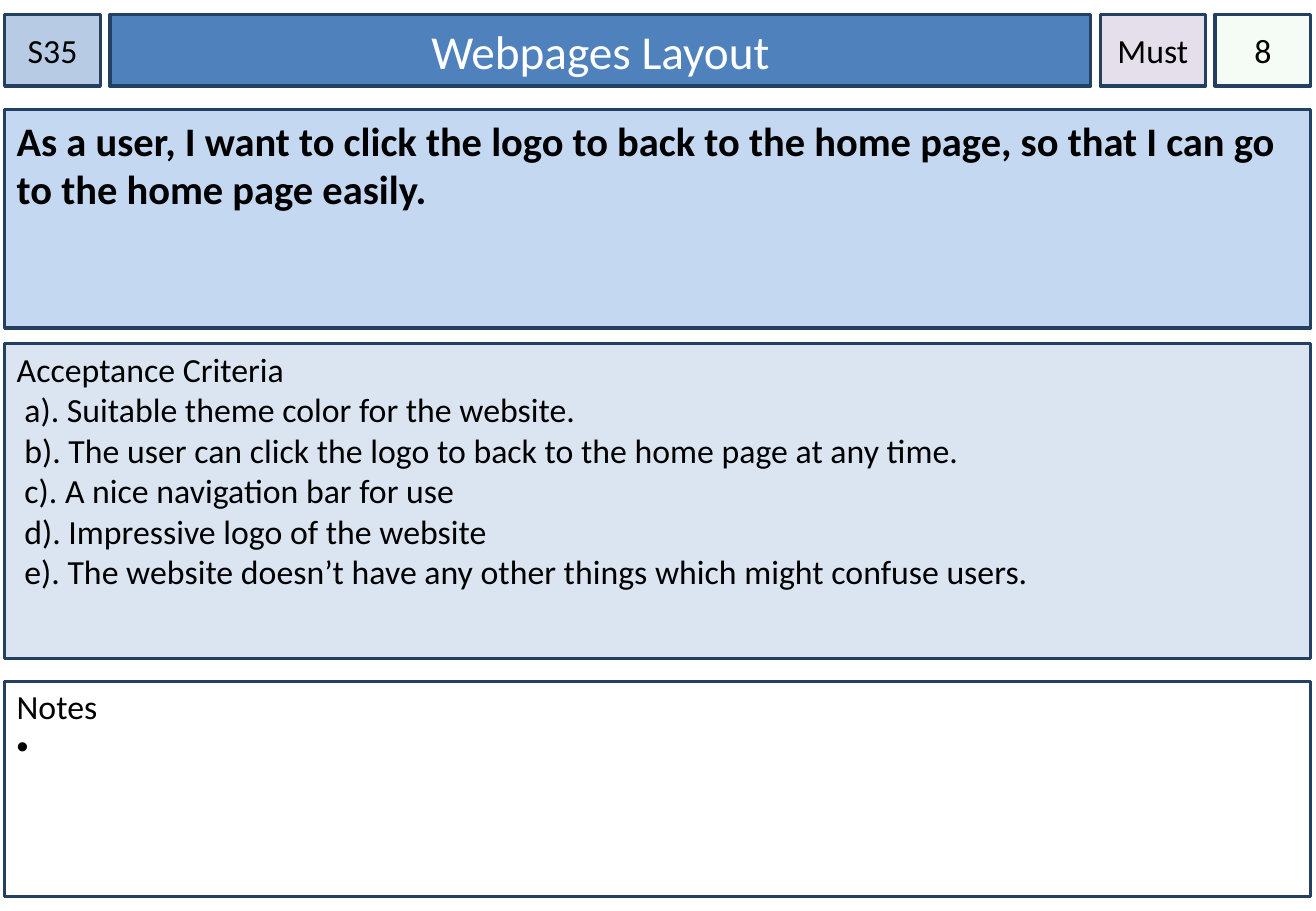
import lxml.etree
import pptx
import pptx.dml.color
import pptx.enum.shapes
import pptx.enum.text
import pptx.oxml.ns
import pptx.util

Cm = pptx.util.Cm
RGBColor = pptx.dml.color.RGBColor
PP_ALIGN = pptx.enum.text.PP_ALIGN
MSO_ANCHOR = pptx.enum.text.MSO_ANCHOR

BLACK = RGBColor(0x00, 0x00, 0x00)
WHITE = RGBColor(0xFF, 0xFF, 0xFF)
NAVY = RGBColor(0x24, 0x40, 0x61)
TITLE_BLUE = RGBColor(0x4F, 0x81, 0xBD)
BADGE_BLUE = RGBColor(0xB7, 0xCC, 0xE4)
STORY_BLUE = RGBColor(0xC5, 0xD8, 0xF1)
CRITERIA_BLUE = RGBColor(0xDA, 0xE5, 0xF1)
PRIORITY_LILAC = RGBColor(0xE5, 0xDF, 0xEC)
POINTS_GREEN = RGBColor(0xCC, 0xF0, 0xCD)

CRITERIA = [
    "a). Suitable theme color for the website.",
    "b). The user can click the logo to back to the home page at any time.",
    "c). A nice navigation bar for use",
    "d). Impressive logo of the website",
    "e). The website doesn’t have any other things which might confuse users.",
]


def add_element(parent, tag, **attributes):
    """Append a DrawingML element to its parent."""
    return lxml.etree.SubElement(parent, pptx.oxml.ns.qn(tag), attributes)


def write_text(paragraph, text, size=20, color=BLACK, bold=False,
               align=PP_ALIGN.LEFT, margin=0, hanging=0, bullet=None):
    """Write one formatted paragraph."""
    properties = paragraph._p.get_or_add_pPr()
    properties.set("marL", str(Cm(margin)))
    properties.set("indent", str(-Cm(hanging)))
    if bullet:
        add_element(properties, "a:buFont", typeface="Arial")
        add_element(properties, "a:buChar", char=bullet)
    paragraph.alignment = align
    run = paragraph.add_run()
    run.text = text
    run.font.name = "Calibri"
    run.font.size = pptx.util.Pt(size)
    run.font.bold = bold
    run.font.color.rgb = color


def style_box(shape, fill, anchor, side_inset=0.25, top_inset=0.13):
    """Give a box its fill, outline and text frame settings."""
    shape.fill.solid()
    shape.fill.fore_color.rgb = fill
    shape.line.color.rgb = NAVY
    shape.line.width = pptx.util.Pt(2)
    frame = shape.text_frame
    frame.word_wrap = True
    frame.auto_size = pptx.enum.text.MSO_AUTO_SIZE.NONE
    frame.vertical_anchor = anchor
    frame.margin_left = frame.margin_right = Cm(side_inset)
    frame.margin_top, frame.margin_bottom = Cm(top_inset), Cm(0.13)


def add_box(slide, left, top, width, height, fill, anchor=MSO_ANCHOR.TOP, **insets):
    """Add a styled rectangle."""
    shape = slide.shapes.add_shape(
        pptx.enum.shapes.MSO_SHAPE.RECTANGLE, Cm(left), Cm(top), Cm(width), Cm(height))
    shape.shadow.inherit = False
    style_box(shape, fill, anchor, **insets)
    return shape


def add_header(slide, left, top, height, gap=0.2):
    """Place the story number, title, priority and points in a row."""
    cells = [
        ("S35", 2, BADGE_BLUE),
        ("Webpages Layout", 20.5, TITLE_BLUE),
        ("Must", 2.2, PRIORITY_LILAC),
        ("8", 2, POINTS_GREEN),
    ]
    for text, width, fill in cells:
        if fill == TITLE_BLUE:
            shape = slide.shapes.title
            shape.left, shape.top = Cm(left), Cm(top)
            shape.width, shape.height = Cm(width), Cm(height)
            style_box(shape, fill, MSO_ANCHOR.MIDDLE)
            text_format = {"size": 28, "color": WHITE}
        else:
            shape = add_box(slide, left, top, width, height, fill,
                            MSO_ANCHOR.MIDDLE, side_inset=0)
            text_format = {}
        write_text(shape.text_frame.paragraphs[0], text,
                   align=PP_ALIGN.CENTER, **text_format)
        left += width + gap
    color = shape._element.spPr.find(".//" + pptx.oxml.ns.qn("a:srgbClr"))
    add_element(color, "a:alpha", val="20000")


def add_story(slide, left, top, width, height):
    """Place the user story."""
    frame = add_box(slide, left, top, width, height, STORY_BLUE).text_frame
    write_text(frame.paragraphs[0],
               "As a user, I want to click the logo to back to the home page, "
               "so that I can go to the home page easily.", size=24, bold=True)


def add_criteria(slide, left, top, width, height):
    """Place the acceptance criteria."""
    frame = add_box(slide, left, top, width, height, CRITERIA_BLUE,
                    top_inset=0.1).text_frame
    write_text(frame.paragraphs[0], "Acceptance Criteria")
    for criterion in CRITERIA:
        write_text(frame.add_paragraph(), criterion, margin=0.16)


def add_notes_box(slide, left, top, width, height):
    """Place the notes box with its open bullet."""
    frame = add_box(slide, left, top, width, height, WHITE, top_inset=0.1).text_frame
    write_text(frame.paragraphs[0], "Notes")
    write_text(frame.add_paragraph(), " ", margin=0.5, hanging=0.5, bullet="•")


def main():
    """Build the story card."""
    presentation = pptx.Presentation()
    presentation.slide_width, presentation.slide_height = Cm(27.51), Cm(19.05)
    slide = presentation.slides.add_slide(presentation.slide_layouts[5])
    left, width = 0.1, 27.3
    add_header(slide, left, 0.3, 1.5)
    add_story(slide, left, 2.29, width, 4.57)
    add_criteria(slide, left, 7.19, width, 6.58)
    add_notes_box(slide, left, 14.25, width, 4.5)
    presentation.save("out.pptx")


if __name__ == "__main__":
    main()
